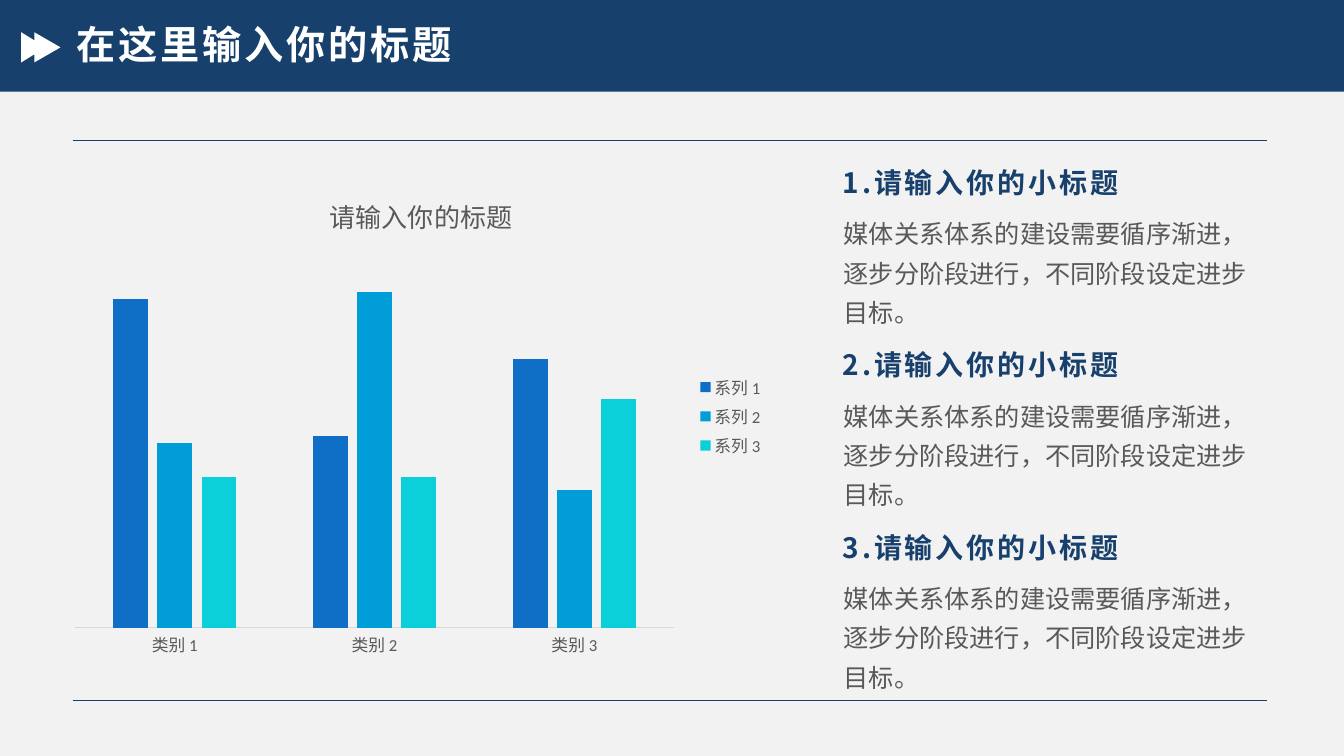
from dataclasses import dataclass

from lxml.etree import SubElement
from pptx import Presentation
from pptx.chart.data import CategoryChartData
from pptx.dml.color import RGBColor
from pptx.enum.chart import XL_CHART_TYPE, XL_LEGEND_POSITION, XL_TICK_MARK
from pptx.enum.shapes import MSO_CONNECTOR, MSO_SHAPE
from pptx.enum.text import MSO_ANCHOR, MSO_AUTO_SIZE, PP_ALIGN
from pptx.oxml import parse_xml
from pptx.oxml.ns import nsdecls, qn
from pptx.util import Inches, Pt


@dataclass(frozen=True)
class Theme:
    """Colours, fonts and type sizes of the slide."""

    navy: RGBColor = RGBColor(0x17, 0x40, 0x6D)
    white: RGBColor = RGBColor(0xFF, 0xFF, 0xFF)
    paper: RGBColor = RGBColor(0xF2, 0xF2, 0xF2)
    grey: RGBColor = RGBColor(0x59, 0x59, 0x59)
    axis: RGBColor = RGBColor(0xD9, 0xD9, 0xD9)
    series: tuple = (
        RGBColor(0x0F, 0x6F, 0xC6),
        RGBColor(0x00, 0x9D, 0xD9),
        RGBColor(0x0B, 0xD0, 0xD9),
    )
    heading_font: str = "Noto Sans CJK SC"
    body_font: str = "Calibri"
    title_size: float = 28
    heading_size: float = 20
    body_size: float = 18
    chart_title_size: float = 18.6
    label_size: float = 12


THEME = Theme()

CATEGORIES = ("类别 1", "类别 2", "类别 3")
SERIES = {"系列 1": (98, 57, 80), "系列 2": (55, 100, 41), "系列 3": (45, 45, 68)}
HEADINGS = ("1.请输入你的小标题", "2.请输入你的小标题", "3.请输入你的小标题")
BODY = "媒体关系体系的建设需要循序渐进，逐步分阶段进行，不同阶段设定进步目标。"


def place(shape, left, top, width, height):
    """Move and size a shape, in inches."""
    shape.left, shape.top = Inches(left), Inches(top)
    shape.width, shape.height = Inches(width), Inches(height)


def style_font(font, name, size, color, bold=False):
    """Set the face, size, colour and weight of a font."""
    font.name, font.size, font.bold = name, Pt(size), bold
    font.color.rgb = color


def write_heading(box, text, size, color):
    """Fill a box with one bold, letter-spaced heading line."""
    box.text_frame.text = text
    para = box.text_frame.paragraphs[0]
    para.alignment = PP_ALIGN.LEFT
    para.line_spacing = 0.9
    span = para.runs[0]
    style_font(span.font, THEME.heading_font, size, color, bold=True)
    properties = span.font._element
    properties.set("spc", "200")
    SubElement(properties, qn("a:ea"), typeface=THEME.heading_font)


def add_text_box(page, left, top, width, height):
    """Add a wrapping text box, in inches."""
    box = page.shapes.add_textbox(
        Inches(left), Inches(top), Inches(width), Inches(height)
    )
    box.text_frame.word_wrap = True
    return box


def fill_plain(shape, color):
    """Give a shape a solid fill with no line or shadow."""
    shape.shadow.inherit = False
    shape.fill.solid()
    shape.fill.fore_color.rgb = color
    shape.line.fill.background()


def add_header(page, left, top, width, height):
    """Draw the title band, its double arrow and the title."""
    band = page.shapes.add_shape(
        MSO_SHAPE.RECTANGLE, Inches(left), Inches(top), Inches(width), Inches(height)
    )
    fill_plain(band, THEME.navy)

    outline = (
        (0.21, 0.32), (0.34, 0.40), (0.34, 0.32), (0.60, 0.47),
        (0.34, 0.62), (0.34, 0.54), (0.21, 0.62),
    )
    points = [(Inches(left + x), Inches(top + y)) for x, y in outline]
    builder = page.shapes.build_freeform(*points[0])
    builder.add_line_segments(points[1:], close=True)
    fill_plain(builder.convert_to_shape(), THEME.white)

    title = page.shapes.title
    page.shapes._spTree.append(title._element)
    place(title, left + 0.66, top + 0.23, 11.5, 0.46)
    write_heading(title, "在这里输入你的标题", THEME.title_size, THEME.white)
    title.text_frame.vertical_anchor = MSO_ANCHOR.MIDDLE
    title.text_frame.auto_size = MSO_AUTO_SIZE.NONE


def add_rules(page, left, top, width, height):
    """Draw thin rules along the top and bottom of the content box."""
    for y in (top, top + height):
        rule = page.shapes.add_connector(
            MSO_CONNECTOR.STRAIGHT,
            Inches(left), Inches(y), Inches(left + width), Inches(y),
        )
        rule.line.color.rgb = THEME.navy
        rule.line.width = Pt(0.5)
        SubElement(rule._element.spPr, qn("a:effectLst"))


def set_layout(parent, index, **values):
    """Fix the position of a chart part as fractions of the chart."""
    for old in parent.findall(qn("c:layout")):
        parent.remove(old)
    layout = parse_xml(f"<c:layout {nsdecls('c')}><c:manualLayout/></c:layout>")
    for name, value in values.items():
        SubElement(layout[0], qn(f"c:{name}"), val=str(value))
    parent.insert(index, layout)


def add_column_chart(page, left, top, width, height):
    """Add the clustered column chart with its title and legend."""
    data = CategoryChartData()
    data.categories = CATEGORIES
    for name, values in SERIES.items():
        data.add_series(name, values)
    chart = page.shapes.add_chart(
        XL_CHART_TYPE.COLUMN_CLUSTERED,
        Inches(left), Inches(top), Inches(width), Inches(height), data,
    ).chart
    style_font(chart.font, THEME.body_font, THEME.label_size, THEME.grey)

    chart.has_title = True
    chart.chart_title.text_frame.text = "请输入你的标题"
    span = chart.chart_title.text_frame.paragraphs[0].runs[0]
    style_font(span.font, THEME.body_font, THEME.chart_title_size, THEME.grey)
    set_layout(chart.chart_title._element, 1, xMode="edge", yMode="edge", x=0.37, y=0.05)

    chart.has_legend = True
    chart.legend.position = XL_LEGEND_POSITION.RIGHT
    chart.legend.include_in_layout = False
    style_font(chart.legend.font, THEME.body_font, THEME.label_size, THEME.grey)

    chart.value_axis.minimum_scale, chart.value_axis.maximum_scale = 0, 120
    chart.value_axis.has_major_gridlines = False
    chart.value_axis.visible = False
    axis = chart.category_axis
    axis.major_tick_mark = axis.minor_tick_mark = XL_TICK_MARK.NONE
    axis.format.line.color.rgb = THEME.axis
    axis.format.line.width = Pt(0.75)
    style_font(axis.tick_labels.font, THEME.body_font, THEME.label_size, THEME.grey)

    plot = chart.plots[0]
    plot.vary_by_categories = False
    plot.gap_width, plot.overlap = 219, -27
    for series, color in zip(plot.series, THEME.series):
        series.format.fill.solid()
        series.format.fill.fore_color.rgb = color
    set_layout(
        plot._element.getparent(), 0, layoutTarget="inner",
        xMode="edge", yMode="edge", x=0.02, y=0.12, w=0.84, h=0.8,
    )


def add_points(page, left, top, width, height):
    """Stack the numbered headings and their text at equal steps."""
    step = height / len(HEADINGS)
    for index, heading in enumerate(HEADINGS):
        y = top + index * step
        box = add_text_box(page, left, y, width, 0.39)
        write_heading(box, heading, THEME.heading_size, THEME.navy)

        box = add_text_box(page, left + 0.01, y + 0.4, 4.34, 1.3)
        box.text_frame.text = BODY
        para = box.text_frame.paragraphs[0]
        para.line_spacing = 1.3
        style_font(para.runs[0].font, THEME.body_font, THEME.body_size, THEME.grey)


def main():
    """Build the slide and save the deck."""
    deck = Presentation()
    deck.slide_width, deck.slide_height = Inches(13.33), Inches(7.5)
    page = deck.slides.add_slide(deck.slide_layouts[5])
    page.background.fill.solid()
    page.background.fill.fore_color.rgb = THEME.paper
    add_header(page, 0, 0, 13.33, 0.91)
    add_rules(page, 0.72, 1.39, 11.85, 5.56)
    add_column_chart(page, 0.6, 1.63, 7.08, 5)
    add_points(page, 8.26, 1.63, 4.61, 5.43)
    deck.save("out.pptx")


if __name__ == "__main__":
    main()
